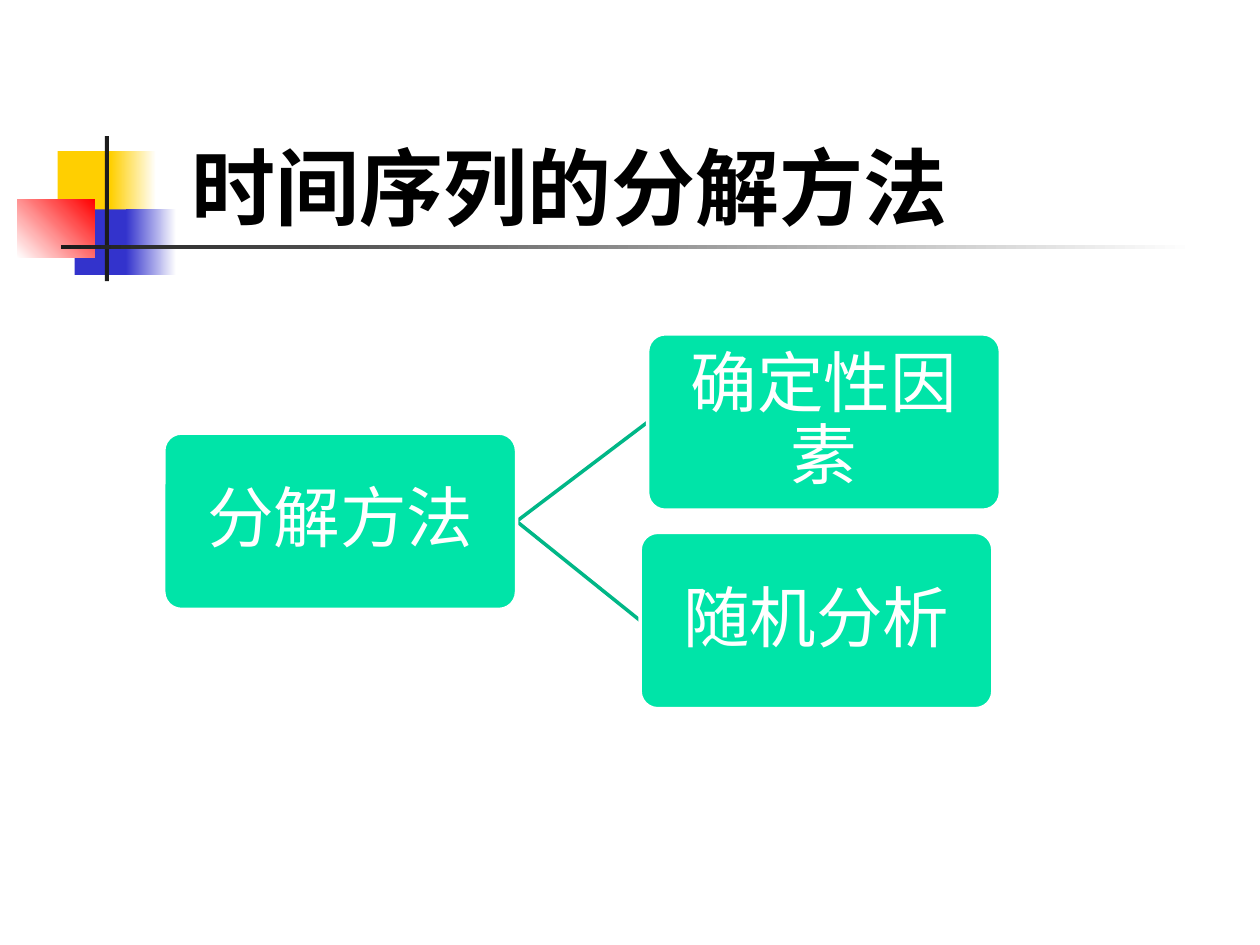
from lxml import etree
from pptx import Presentation
from pptx import util as u
from pptx.dml.color import RGBColor
from pptx.enum import shapes, text
from pptx.oxml import ns

Pt = u.Pt
C = {"yellow": "FFCF01", "blue": "3333CC", "red": "FF0000", "dark": "1C1C1C",
     "white": "FFFFFF", "black": "000000", "green": "00E4A8", "link": "00B787"}


def add_text(s, content, size, color, bold=False, align=text.PP_ALIGN.LEFT,
             anchor=text.MSO_ANCHOR.MIDDLE, spacing=1.0, left=4, inset=4):
    tf = s.text_frame
    tf.word_wrap = True
    tf.vertical_anchor = anchor
    tf.margin_left = Pt(left)
    tf.margin_right = tf.margin_top = tf.margin_bottom = Pt(inset)
    p = tf.paragraphs[0]
    p.alignment = align
    p.line_spacing = spacing
    r = p.add_run()
    r.text = content
    r.font.name = "Roboto"
    r.font.size = Pt(size)
    r.font.bold = bold
    r.font.color.rgb = RGBColor.from_string(C[color])


prs = Presentation()
prs.slide_width, prs.slide_height = Pt(720), Pt(540)
sp = prs.slides.add_slide(prs.slide_layouts[6]).shapes

ornaments = [
    (33, 86.4, 34.5, 37.4, ["yellow"], 0),
    (63.2, 86.4, 26, 37.4, ["yellow", "white"], 0),
    (42.7, 119.7, 33, 37.4, ["blue"], 0),
    (72, 119.7, 28.8, 37.4, ["blue", "white"], 0),
    (9.8, 113.8, 44.3, 33.4, ["white", "red"], 45),
    (59.9, 77.8, 2.4, 82.8, ["dark"], 0),
    (34.8, 140.1, 648, 2.5, ["dark", "white"], 0),
]
for x, y, w, h, colors, angle in ornaments:
    s = sp.add_shape(shapes.MSO_SHAPE.RECTANGLE, Pt(x), Pt(y), Pt(w), Pt(h))
    s.shadow.inherit = False
    s.line.fill.background()
    if len(colors) == 1:
        s.fill.solid()
        s.fill.fore_color.rgb = RGBColor.from_string(C[colors[0]])
    else:
        s.fill.gradient()
        s.fill.gradient_angle = angle
        for stop, color in zip(s.fill.gradient_stops, colors):
            stop.color.rgb = RGBColor.from_string(C[color])

title = sp.add_textbox(Pt(90.7), Pt(49), Pt(613.4), Pt(90))
add_text(title, "时间序列的分解方法", 48, "black", bold=True,
         anchor=text.MSO_ANCHOR.BOTTOM, left=19)

box_w, box_h = 201.6, 100.8
root = ("分解方法", 93.6, 247.5)
branches = [("确定性因素", 370.1, 190.8), ("随机分析", 365.8, 304.2)]

for name, x, y in branches:
    c = sp.add_connector(shapes.MSO_CONNECTOR.STRAIGHT,
                         Pt(root[1] + box_w), Pt(root[2] + box_h / 2),
                         Pt(x), Pt(y + box_h / 2))
    c.line.color.rgb = RGBColor.from_string(C["link"])
    c.line.width = Pt(2)
    etree.SubElement(c._element.spPr, ns.qn("a:effectLst"))

for name, x, y in [root] + branches:
    s = sp.add_shape(shapes.MSO_SHAPE.ROUNDED_RECTANGLE,
                     Pt(x), Pt(y), Pt(box_w), Pt(box_h))
    s.adjustments[0] = 0.1
    s.shadow.inherit = False
    s.fill.solid()
    s.fill.fore_color.rgb = RGBColor.from_string(C["green"])
    s.line.color.rgb = RGBColor.from_string(C["white"])
    s.line.width = Pt(2)
    add_text(s, name, 38, "white", align=text.PP_ALIGN.CENTER, spacing=0.9)

prs.save("out.pptx")
